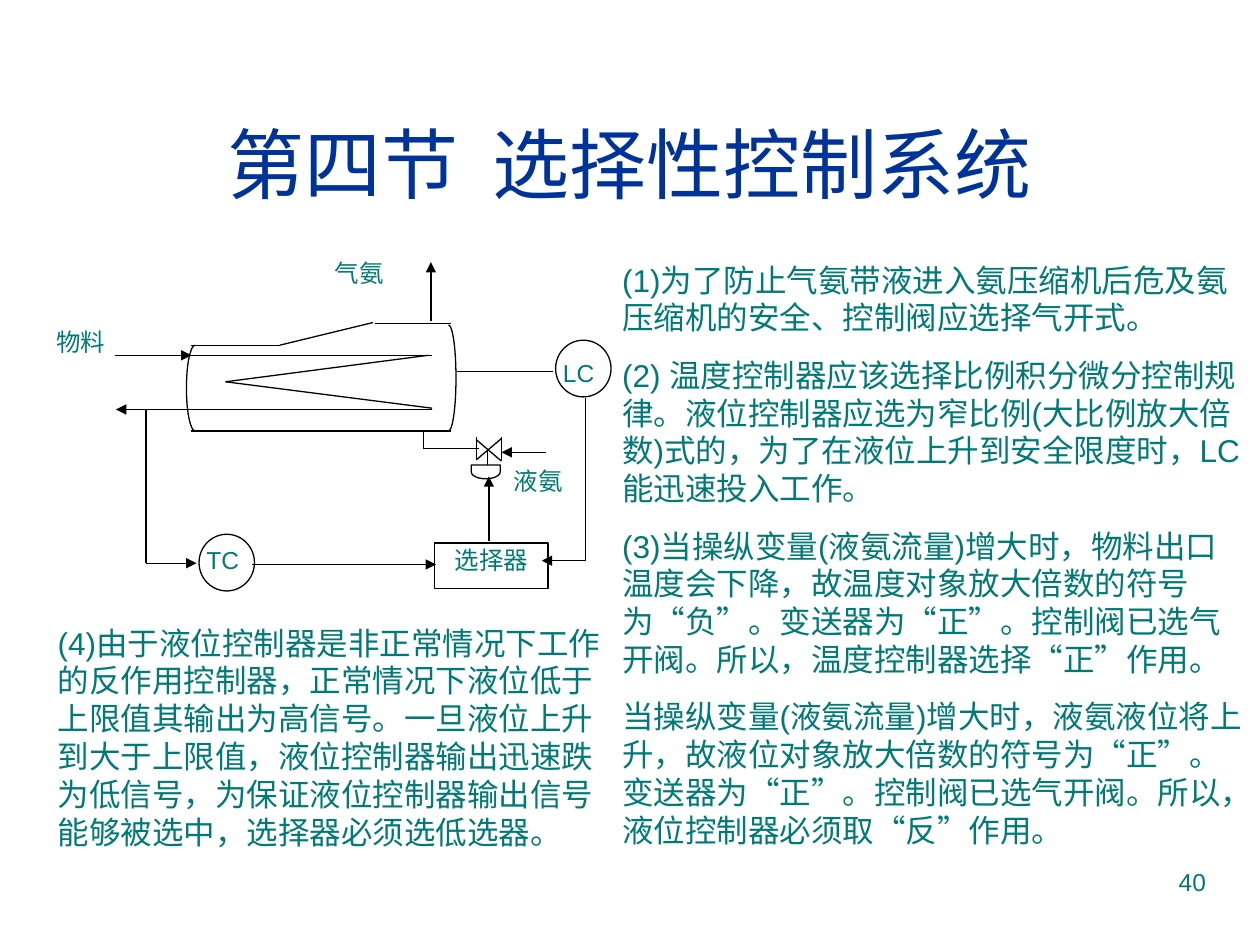
from math import cos, pi, sin

from lxml.etree import SubElement
from pptx import Presentation
from pptx.dml.color import RGBColor
from pptx.enum.shapes import MSO_CONNECTOR, MSO_SHAPE
from pptx.enum.text import MSO_ANCHOR, MSO_AUTO_SIZE, PP_ALIGN
from pptx.oxml.ns import qn
from pptx.util import Inches, Pt

BLUE = RGBColor(0x00, 0x33, 0x99)
TEAL = RGBColor(0x00, 0x7A, 0x77)
BLACK = RGBColor(0x00, 0x00, 0x00)
WHITE = RGBColor(0xFF, 0xFF, 0xFF)

TITLE = "第四节  选择性控制系统"
ANALYSIS = [
    "(1)为了防止气氨带液进入氨压缩机后危及氨压缩机的安全、控制阀应选择气开式。",
    "(2) 温度控制器应该选择比例积分微分控制规律。液位控制器应选为窄比例(大比例放大倍数)式的，"
    "为了在液位上升到安全限度时，LC能迅速投入工作。",
    "(3)当操纵变量(液氨流量)增大时，物料出口温度会下降，故温度对象放大倍数的符号为“负”。"
    "变送器为“正”。控制阀已选气开阀。所以，温度控制器选择“正”作用。",
    "当操纵变量(液氨流量)增大时，液氨液位将上升，故液位对象放大倍数的符号为“正”。"
    "变送器为“正”。控制阀已选气开阀。所以，液位控制器必须取“反”作用。",
]
SELECTOR_NOTE = [
    "(4)由于液位控制器是非正常情况下工作的反作用控制器，正常情况下液位低于上限值其输出为高信号。"
    "一旦液位上升到大于上限值，液位控制器输出迅速跌为低信号，"
    "为保证液位控制器输出信号能够被选中，选择器必须选低选器。",
]


def set_all(target, values):
    """Set every attribute named in a dict of format values."""
    for name, value in values.items():
        setattr(target, name, value)


def format_paragraph(paragraph, size, color=TEAL, **values):
    """Give a paragraph its font and its paragraph format."""
    set_all(paragraph.font, {"name": "Arial", "size": Pt(size)})
    paragraph.font.color.rgb = color
    set_all(paragraph, values)


def add_text(slide, box, paragraphs, size, **values):
    """Place a wrapped text box whose later paragraphs are spaced apart."""
    frame = slide.shapes.add_textbox(*map(Inches, box)).text_frame
    frame.word_wrap = True
    frame.text = "\n".join(paragraphs)
    for index, paragraph in enumerate(frame.paragraphs):
        format_paragraph(paragraph, size, space_before=Pt(11.2 if index else 0), **values)


def add_line(slide, origin, ends, arrow=False):
    """Draw a thin line, with an optional arrowhead at its end."""
    left, top = origin
    x1, y1, x2, y2 = ends
    points = map(Inches, (left + x1, top + y1, left + x2, top + y2))
    line = slide.shapes.add_connector(MSO_CONNECTOR.STRAIGHT, *points)
    line.line.color.rgb = BLACK
    line.line.width = Pt(0.75)
    properties = line._element.spPr
    if arrow:
        SubElement(properties.find(qn("a:ln")), qn("a:tailEnd"), type="triangle")
    SubElement(properties, qn("a:effectLst"))


def outline(shape):
    """Give a shape a thin black outline and no shadow."""
    shape.shadow.inherit = False
    shape.line.color.rgb = BLACK
    shape.line.width = Pt(0.75)


def add_part(slide, kind, origin, box, rotation=0):
    """Place a white outlined preset shape relative to an origin."""
    left, top, width, height = box
    place = map(Inches, (origin[0] + left, origin[1] + top, width, height))
    part = slide.shapes.add_shape(kind, *place)
    part.rotation = rotation
    part.fill.solid()
    part.fill.fore_color.rgb = WHITE
    outline(part)


def add_end_cap(slide, center, radius_x, radius_y):
    """Draw half an ellipse, bulging left when radius_x is negative."""
    angles = [pi * step / 24 - pi / 2 for step in range(25)]
    points = [(Inches(center[0] + radius_x * cos(angle)),
               Inches(center[1] + radius_y * sin(angle))) for angle in angles]
    builder = slide.shapes.build_freeform(*points[0])
    builder.add_line_segments(points[1:], close=False)
    cap = builder.convert_to_shape()
    cap.fill.background()
    outline(cap)


def draw_vessel(slide, origin):
    """Draw the ammonia cooler: shell, tubes and curved ends."""
    left, top = origin
    shell = [(0.04, 0.17, 0.74, 0.17), (0.74, 0.17, 1.48, -0.01),
             (1.5, 0, 2.1, 0), (0.04, 0.85, 2.1, 0.85)]
    tubes = [(-0.04, 0.25, 1.95, 0.25), (-0.01, 0.68, 1.95, 0.68),
             (0.31, 0.46, 1.92, 0.25), (0.31, 0.46, 1.95, 0.67)]
    for ends in shell + tubes:
        add_line(slide, origin, ends)
    add_end_cap(slide, (left + 0.07, top + 0.51), -0.07, 0.34)
    add_end_cap(slide, (left + 2.08, top + 0.43), 0.06, 0.42)


def draw_valve(slide, origin):
    """Draw the control valve with its actuator."""
    body = [(0, 0, 0, 0.18), (0.2, 0, 0.2, 0.18),
            (0, 0.02, 0.2, 0.19), (0, 0.18, 0.2, 0.01)]
    stem = (0.09, 0.1, 0.09, 0.26)
    for ends in body + [stem]:
        add_line(slide, origin, ends)
    add_part(slide, MSO_SHAPE.FLOWCHART_DELAY, origin, (0.02, 0.16, 0.11, 0.23), 90)


def draw_control_loop(slide, origin):
    """Draw the cooler with its controllers, selector, pipes and labels."""
    left, top = origin
    draw_vessel(slide, (left + 1.13, top + 0.57))
    draw_valve(slide, (left + 3.43, top + 1.47))
    controllers = [(1.23, 2.24), (4.06, 0.7)]
    for x, y in controllers:
        add_part(slide, MSO_SHAPE.OVAL, origin, (x, y, 0.44, 0.45))
    add_part(slide, MSO_SHAPE.RECTANGLE, origin, (3.1, 2.31, 0.9, 0.36))
    pipes = [(3.01, 1.42, 3.01, 1.56), (3.01, 1.56, 3.45, 1.56),
             (3.28, 0.95, 4.04, 0.95), (4.3, 1.16, 4.3, 2.45),
             (0.81, 2.47, 0.81, 1.25)]
    flows = [(0.56, 0.82, 1.17, 0.82), (1.18, 1.25, 0.57, 1.25),
             (0.81, 2.47, 1.21, 2.47), (1.65, 2.48, 3.11, 2.48),
             (4.3, 2.45, 3.95, 2.45), (3.53, 2.29, 3.53, 1.78),
             (3.98, 1.59, 3.63, 1.59), (3.07, 0.55, 3.07, 0.08)]
    for ends in pipes:
        add_line(slide, origin, ends)
    for ends in flows:
        add_line(slide, origin, ends, arrow=True)
    labels = {"物料": (0, 0.55, 0.63), "气氨": (2.21, 0, 0.63),
              "液氨": (3.63, 1.65, 0.63), "LC": (4.02, 0.79, 0.63),
              "TC": (1.19, 2.28, 0.63), "选择器": (3.16, 2.28, 0.8)}
    for label, (x, y, width) in labels.items():
        add_text(slide, (left + x, top + y, width, 0.34), [label], 14)


def place_title(slide, box):
    """Move and format the title placeholder."""
    title = slide.shapes.title
    places = map(Inches, box)
    set_all(title, dict(zip(("left", "top", "width", "height"), places)))
    title.text_frame.text = TITLE
    set_all(title.text_frame, {"vertical_anchor": MSO_ANCHOR.MIDDLE,
                               "auto_size": MSO_AUTO_SIZE.NONE, "word_wrap": True})
    format_paragraph(title.text_frame.paragraphs[0], 44, BLUE, alignment=PP_ALIGN.CENTER)


def main():
    """Build the slide and save it."""
    presentation = Presentation()
    set_all(presentation, {"slide_width": Inches(10), "slide_height": Inches(7.5)})
    slide = presentation.slides.add_slide(presentation.slide_layouts[5])
    place_title(slide, (0.33, 0.67, 9.34, 1.25))
    draw_control_loop(slide, (0.35, 2))
    add_text(slide, (4.84, 2.02, 5.14, 5.23), ANALYSIS, 18)
    add_text(slide, (0.36, 4.9, 4.57, 1.9), SELECTOR_NOTE, 18)
    add_text(slide, (7.17, 6.83, 2.5, 0.52), ["40"], 14, alignment=PP_ALIGN.RIGHT)
    presentation.save("out.pptx")


if __name__ == "__main__":
    main()
